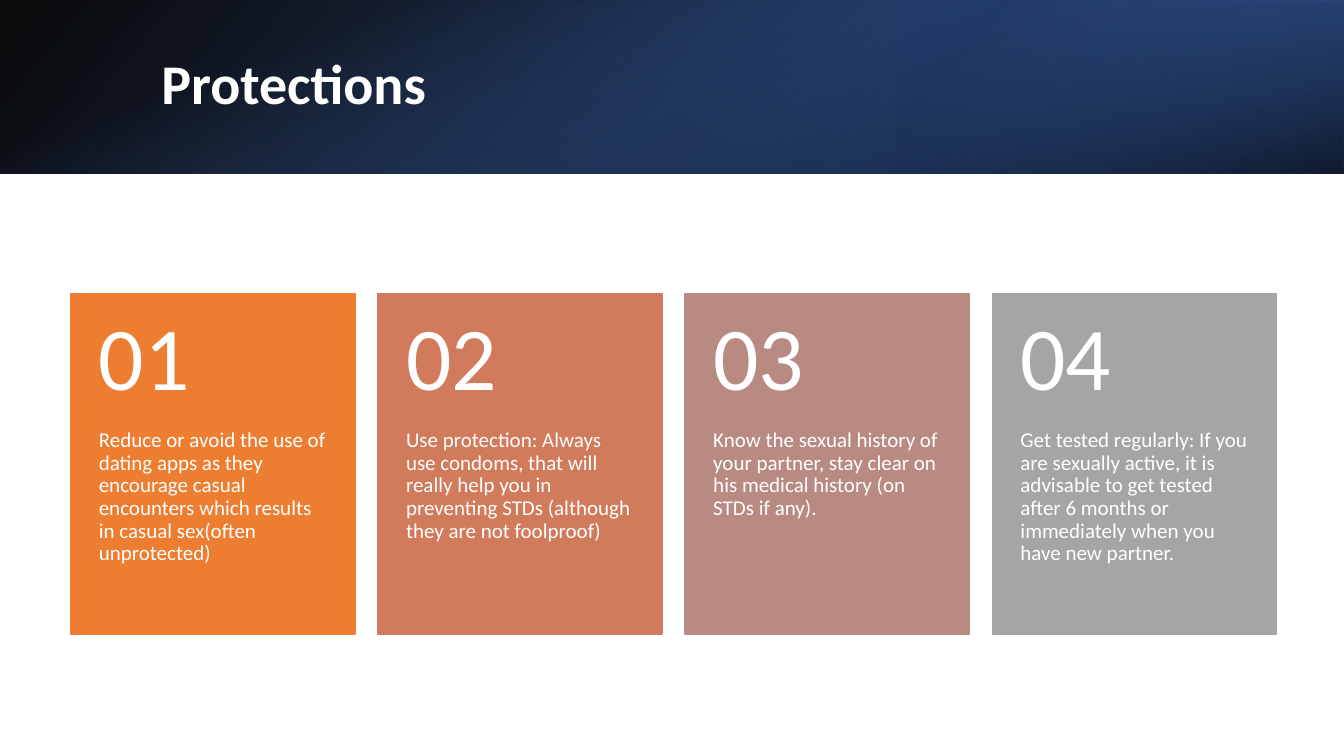
from lxml import etree
from pptx import Presentation
from pptx.dml.color import RGBColor
from pptx.enum import shapes, text
from pptx.oxml.ns import qn
from pptx.util import Inches, Pt

WHITE = "FFFFFF"
BANNER_HEIGHT = 1.72
CARD_LEFT, CARD_TOP, CARD_PITCH = 0.7, 2.91, 3.047
CARD_WIDTH, CARD_HEIGHT, NUMBER_HEIGHT = 2.82, 3.38, 1.35

CARDS = [
    ("ED7D31", "Reduce or avoid the use of dating apps as they encourage casual "
               "encounters which results in casual sex(often unprotected)"),
    ("D17B5C", "Use protection: Always use condoms, that will really help you in "
               "preventing STDs (although they are not foolproof)"),
    ("B98A82", "Know the sexual history of your partner, stay clear on his medical "
               "history (on STDs if any)."),
    ("A5A5A5", "Get tested regularly: If you are sexually active, it is advisable to "
               "get tested after 6 months or immediately when you have new partner."),
]


def color(hex_value):
    return RGBColor.from_string(hex_value)


def add_rectangle(slide, left, top, width, height):
    shape = slide.shapes.add_shape(
        shapes.MSO_SHAPE.RECTANGLE,
        Inches(left), Inches(top), Inches(width), Inches(height))
    shape.shadow.inherit = False
    return shape


def add_gradient(slide, box, stops, angle, rotation=0, flipped=False):
    shape = add_rectangle(slide, *box)
    shape.line.fill.background()
    shape.rotation = rotation
    if flipped:
        shape.element.spPr.find(qn("a:xfrm")).set("flipH", "1")
    shape.fill.gradient()
    shape.fill.gradient_angle = 360 - angle
    for stop, (position, hex_value, opacity) in zip(shape.fill.gradient_stops, stops):
        stop.position = position / 100
        stop.color.rgb = color(hex_value)
    for rgb, (position, hex_value, opacity) in zip(
            shape.element.spPr.iter(qn("a:srgbClr")), stops):
        etree.SubElement(rgb, qn("a:alpha")).set("val", str(opacity * 1000))


def format_text(text_frame, content, size, anchor, insets, bold=False):
    text_frame.text = content
    text_frame.word_wrap = True
    text_frame.auto_size = text.MSO_AUTO_SIZE.NONE
    text_frame.vertical_anchor = anchor
    (text_frame.margin_left, text_frame.margin_top,
     text_frame.margin_right, text_frame.margin_bottom) = map(Inches, insets)
    paragraph = text_frame.paragraphs[0]
    paragraph.alignment = text.PP_ALIGN.LEFT
    paragraph.line_spacing = 0.9
    font = paragraph.runs[0].font
    font.name = "Calibri"
    font.size = Pt(size)
    font.bold = bold
    font.color.rgb = color(WHITE)


def add_text(slide, left, top, width, height, content, size, anchor, insets):
    box = slide.shapes.add_textbox(
        Inches(left), Inches(top), Inches(width), Inches(height))
    format_text(box.text_frame, content, size, anchor, insets)


def add_banner(slide):
    add_gradient(slide, (0, 0, 13.33, BANNER_HEIGHT),
                 [(0, "000000", 96), (100, "2F5597", 100)], 140, flipped=True)
    add_gradient(slide, (8.89, 0, 4.44, BANNER_HEIGHT),
                 [(19, "203864", 68), (100, "4472C4", 79)], 320, 180, flipped=True)
    add_gradient(slide, (5.8, -5.8, BANNER_HEIGHT, 13.33),
                 [(23, "4472C4", 0), (99, "000000", 74)], 340, 90)


def place_title(slide, content):
    title = slide.shapes.title
    title.left, title.top = Inches(1.5), Inches(0.38)
    title.width, title.height = Inches(10.98), Inches(0.96)
    format_text(title.text_frame, content, 40, text.MSO_ANCHOR.MIDDLE,
                (0.1, 0.05, 0.1, 0.05), bold=True)
    title.element.getparent().append(title.element)


def add_card(slide, index, fill, advice):
    left = CARD_LEFT + index * CARD_PITCH
    card = add_rectangle(slide, left, CARD_TOP, CARD_WIDTH, CARD_HEIGHT)
    card.fill.solid()
    card.fill.fore_color.rgb = color(fill)
    card.line.color.rgb = color(fill)
    card.line.width = Pt(1)
    add_text(slide, left, CARD_TOP + NUMBER_HEIGHT, CARD_WIDTH,
             CARD_HEIGHT - NUMBER_HEIGHT, advice, 15,
             text.MSO_ANCHOR.TOP, (0.28, 0, 0.28, 0.36))
    add_text(slide, left, CARD_TOP, CARD_WIDTH, NUMBER_HEIGHT, f"{index + 1:02}", 64,
             text.MSO_ANCHOR.MIDDLE, (0.28, 0.18, 0.28, 0.18))


def main():
    presentation = Presentation()
    presentation.slide_width = Inches(13.33)
    presentation.slide_height = Inches(7.5)
    slide = presentation.slides.add_slide(presentation.slide_layouts[5])
    add_banner(slide)
    place_title(slide, "Protections")
    for index, (fill, advice) in enumerate(CARDS):
        add_card(slide, index, fill, advice)
    presentation.save("out.pptx")


if __name__ == "__main__":
    main()
